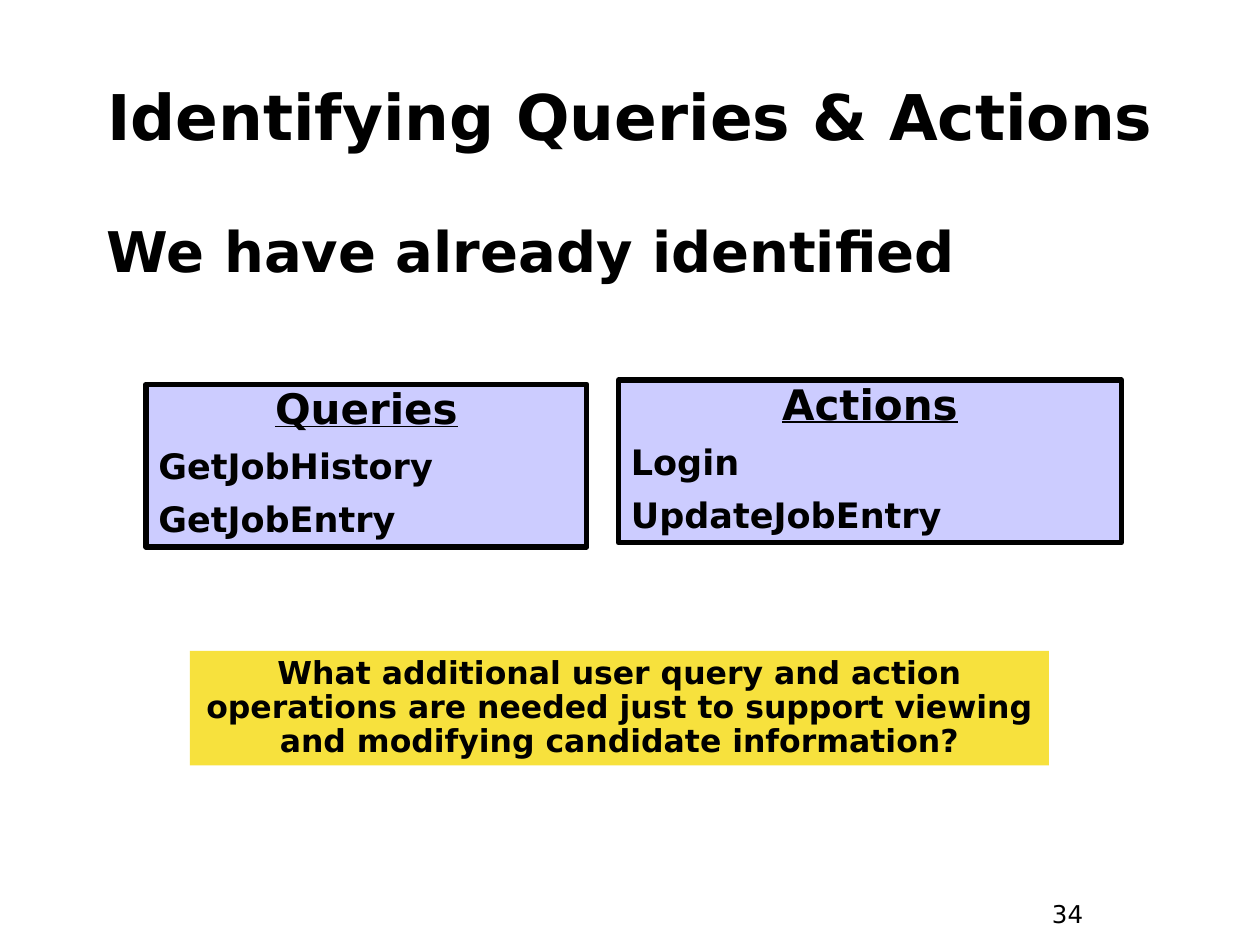
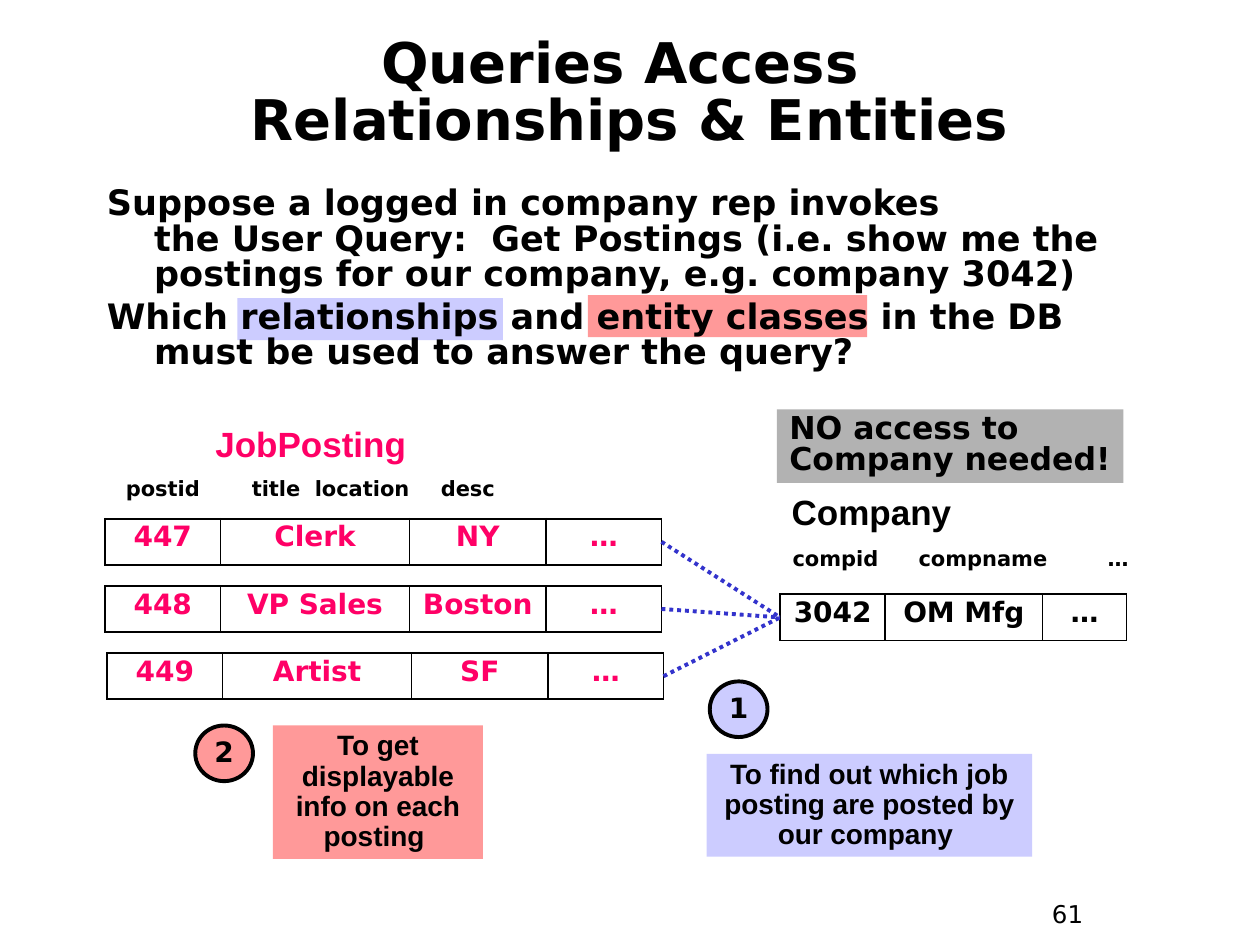
import copy
import dataclasses

import pptx
import pptx.dml.color
import pptx.enum.dml
import pptx.enum.shapes
import pptx.enum.text
import pptx.oxml
import pptx.oxml.ns
import pptx.util

ALIGN = pptx.enum.text.PP_ALIGN
ANCHOR = pptx.enum.text.MSO_ANCHOR
SHAPE = pptx.enum.shapes.MSO_SHAPE
NAMESPACE = pptx.oxml.ns.nsdecls("a")
GRID_COLUMNS, GRID_ROWS = 120, 90
SLIDE_WIDTH, SLIDE_HEIGHT = pptx.util.Inches(10), pptx.util.Inches(7.5)


@dataclasses.dataclass(frozen=True)
class Theme:
    """Colours, fonts and type sizes shared by the slides."""

    ink: str = "000000"
    paper: str = "FFFFFF"
    relationship: str = "CCCCFF"
    entity: str = "FF9999"
    question: str = "F7E13D"
    muted: str = "B2B2B2"
    accent: str = "FF0066"
    link: str = "3333CC"
    font: str = "DejaVu Sans"
    label_font: str = "Arial"
    title: int = 36
    subtitle: int = 32
    heading: int = 24
    body: int = 20
    callout: int = 18
    small: int = 16
    number: int = 14
    caption: int = 12


THEME = Theme()


def column(count):
    """Return the width of a number of grid columns."""
    return round(SLIDE_WIDTH * count / GRID_COLUMNS)


def row(count):
    """Return the height of a number of grid rows."""
    return round(SLIDE_HEIGHT * count / GRID_ROWS)


def area(left, top, width, height):
    """Turn grid cells into slide lengths."""
    return column(left), row(top), column(width), row(height)


def color(value):
    """Turn a hexadecimal string into a colour."""
    return pptx.dml.color.RGBColor.from_string(value)


def write_text(frame, text, *, size, font=THEME.font, ink=THEME.ink, bold=True, underline=False,
               align=ALIGN.LEFT, spacing=1.0, before=0, hanging=0, tabs=()):
    """Write one formatted paragraph at the end of a text frame."""
    paragraph = frame.paragraphs[-1]
    if paragraph.text:
        paragraph = frame.add_paragraph()
    paragraph.text = text
    paragraph.alignment = align
    paragraph.line_spacing = spacing
    paragraph.space_before = pptx.util.Pt(before)
    properties = paragraph._p.get_or_add_pPr()
    properties.set("marL", str(column(hanging)))
    properties.set("indent", str(-column(hanging)))
    if tabs:
        stops = "".join(f'<a:tab pos="{column(stop)}" algn="l"/>' for stop in tabs)
        properties.append(pptx.oxml.parse_xml(f"<a:tabLst {NAMESPACE}>{stops}</a:tabLst>"))
    for run in paragraph.runs:
        run.font.name = font
        run.font.size = pptx.util.Pt(size)
        run.font.bold = bold
        run.font.underline = underline
        run.font.color.rgb = color(ink)
    for line_break in paragraph._p.findall(pptx.oxml.ns.qn("a:br")):
        line_break.insert(0, copy.deepcopy(paragraph.runs[0]._r.rPr))


def add_title(presentation, text, top, **text_format):
    """Add a title-only slide and format its title."""
    slide = presentation.slides.add_slide(presentation.slide_layouts[5])
    title = slide.shapes.title
    title.left, title.top, title.width, title.height = area(4, top, 112, 10)
    title.text_frame.auto_size = pptx.enum.text.MSO_AUTO_SIZE.NONE
    title.text_frame.vertical_anchor = ANCHOR.MIDDLE
    write_text(title.text_frame, text, align=ALIGN.CENTER, **text_format)
    return slide


def add_text(slide, place, text, **text_format):
    """Add a wrapping text box with one or more paragraphs."""
    frame = slide.shapes.add_textbox(*area(*place)).text_frame
    frame.word_wrap = True
    for line in [text] if isinstance(text, str) else text:
        write_text(frame, line, **text_format)


def add_page_number(slide, number):
    """Write the page number at the foot of a slide."""
    add_text(slide, (99, 85, 9, 4.4), number, size=THEME.number, bold=False, before=8.8)


def add_box(slide, place, fill, border=0, kind=SHAPE.RECTANGLE, anchor=ANCHOR.TOP, wrap=True):
    """Add a filled shape and return its text frame."""
    shape = slide.shapes.add_shape(kind, *area(*place))
    shape.shadow.inherit = False
    shape.fill.solid()
    shape.fill.fore_color.rgb = color(fill)
    if border:
        shape.line.color.rgb = color(THEME.ink)
        shape.line.width = pptx.util.Pt(border)
    else:
        shape.line.fill.background()
    shape.text_frame.vertical_anchor = anchor
    shape.text_frame.word_wrap = wrap
    return shape.text_frame


def add_card(slide, place, heading, operations):
    """Add a bordered card that lists operations under a heading."""
    frame = add_box(slide, place, THEME.relationship, border=3)
    write_text(frame, heading, size=THEME.heading, underline=True,
               align=ALIGN.CENTER, spacing=0.85, before=12)
    for operation in operations:
        write_text(frame, operation, size=THEME.body, spacing=0.85, before=10)


def add_note(slide, place, fill, text, **text_format):
    """Add a borderless coloured note."""
    write_text(add_box(slide, place, fill), text, **text_format)


def add_badge(slide, left, top, fill, number):
    """Add a numbered circle."""
    frame = add_box(slide, (left, top, 5.5, 5.3), fill, border=2.25, kind=SHAPE.OVAL,
                    anchor=ANCHOR.MIDDLE, wrap=False)
    write_text(frame, number, size=THEME.small, align=ALIGN.CENTER, spacing=0.9)


def add_entity_name(slide, place, name, ink):
    """Add the name of an entity class above its records."""
    frame = add_box(slide, place, THEME.paper, anchor=ANCHOR.MIDDLE, wrap=False)
    write_text(frame, name, size=THEME.body, font=THEME.label_font, ink=ink,
               align=ALIGN.CENTER, before=12.5)


def add_record(slide, left, top, widths, values, ink):
    """Add a one-row table that holds a database record."""
    frame = slide.shapes.add_table(1, len(widths), *area(left, top, sum(widths), 4.4))
    table = frame.table
    table.first_row = table.horz_banding = False
    for index, (width, value) in enumerate(zip(widths, values)):
        table.columns[index].width = column(width)
        cell = table.cell(0, index)
        write_text(cell.text_frame, value, size=THEME.small, ink=ink,
                   align=ALIGN.CENTER, spacing=0.85, before=3)
        properties = cell._tc.get_or_add_tcPr()
        for side in "LRTB":
            properties.append(pptx.oxml.parse_xml(
                f'<a:ln{side} {NAMESPACE} w="{pptx.util.Pt(1.08)}"><a:solidFill>'
                f'<a:srgbClr val="{THEME.ink}"/></a:solidFill></a:ln{side}>'))
        cell.fill.background()
    return frame


def add_link(slide, source, target):
    """Join the right side of one record to the left side of another."""
    link = slide.shapes.add_connector(pptx.enum.shapes.MSO_CONNECTOR.STRAIGHT, 0, 0, 0, 0)
    link.begin_connect(source, 3)
    link.end_connect(target, 1)
    link.line.color.rgb = color(THEME.link)
    link.line.width = pptx.util.Pt(2.25)
    link.line.dash_style = pptx.enum.dml.MSO_LINE.ROUND_DOT
    link._element.spPr.append(pptx.oxml.parse_xml(f"<a:effectLst {NAMESPACE}/>"))


def build_operations_slide(presentation):
    """Build the slide on queries and actions."""
    slide = add_title(presentation, "Identifying Queries & Actions", 6, size=THEME.title)
    add_text(slide, (9, 21, 102, 10), "We have already identified",
             size=THEME.subtitle, spacing=0.85, before=6, hanging=4.5)
    add_card(slide, (13.9, 36.6, 42, 15.5), "Queries", ["GetJobHistory", "GetJobEntry"])
    add_card(slide, (58.9, 36.2, 47.9, 15.5), "Actions", ["Login", "UpdateJobEntry"])
    add_note(slide, (18.1, 62, 81.8, 10.9), THEME.question,
             "What additional user query and action operations are needed "
             "just to support viewing and modifying candidate information?",
             size=THEME.callout, align=ALIGN.CENTER, spacing=0.9, before=11.2)
    add_page_number(slide, "34")


def build_access_slide(presentation):
    """Build the slide on the records that a query reads."""
    slide = add_title(presentation, "Queries Access \nRelationships & Entities", 4,
                      size=THEME.subtitle, spacing=0.85)
    add_box(slide, (56, 28.1, 26.6, 4), THEME.entity)
    add_box(slide, (22.6, 28.4, 25.3, 4), THEME.relationship)
    add_text(slide, (9, 17.2, 102, 20), [
        "Suppose a logged in company rep invokes\nthe User Query:  Get Postings "
        "(i.e. show me the postings for our company, e.g. company 3042)",
        "Which relationships and entity classes in the DB \n"
        "must be used to answer the query?",
    ], size=THEME.body, spacing=0.85, before=3.7, hanging=4.5)

    company = add_record(slide, 74.3, 56.6, (10, 15, 8), ("3042", "OM Mfg", "…"), THEME.ink)
    postings = [
        (10, ("447", "Clerk", "NY", "…")),
        (10, ("448", "VP Sales", "Boston", "…")),
        (10.2, ("449", "Artist", "SF", "…")),
    ]
    for index, (left, values) in enumerate(postings):
        posting = add_record(slide, left, 49.4 + 6.4 * index, (11, 18, 13, 11),
                             values, THEME.accent)
        add_link(slide, posting, company)

    add_entity_name(slide, (19.3, 38.9, 20.6, 6.7), "JobPosting", THEME.accent)
    add_entity_name(slide, (73, 46, 20, 5.4), "Company", THEME.ink)
    caption = {"size": THEME.caption, "spacing": 0.9, "before": 7.5}
    add_text(slide, (10.8, 45, 55, 3.4), "postid\ttitle\tlocation\tdesc",
             tabs=(12.7, 29.1, 43), **caption)
    add_text(slide, (74.3, 51.6, 35, 3.4), "compid\tcompname\t…", tabs=(8.9, 26), **caption)

    step = {"size": THEME.small, "font": THEME.label_font, "align": ALIGN.CENTER,
            "spacing": 0.9, "before": 10}
    add_badge(slide, 67.6, 64.9, THEME.relationship, "1")
    add_note(slide, (67.3, 71.8, 31, 9.8), THEME.relationship,
             "To find out which job posting are posted by our company ", **step)
    add_badge(slide, 18.6, 69.1, THEME.entity, "2")
    add_note(slide, (26, 69.1, 20, 12.7), THEME.entity,
             "To get displayable info on each posting ", **step)
    add_note(slide, (74, 39, 33, 7), THEME.muted, "NO access to Company needed!",
             size=THEME.callout, spacing=0.8, before=11.2)
    add_page_number(slide, "61")


def main():
    """Build and save the presentation."""
    presentation = pptx.Presentation()
    presentation.slide_width, presentation.slide_height = SLIDE_WIDTH, SLIDE_HEIGHT
    build_operations_slide(presentation)
    build_access_slide(presentation)
    presentation.save("out.pptx")


if __name__ == "__main__":
    main()
